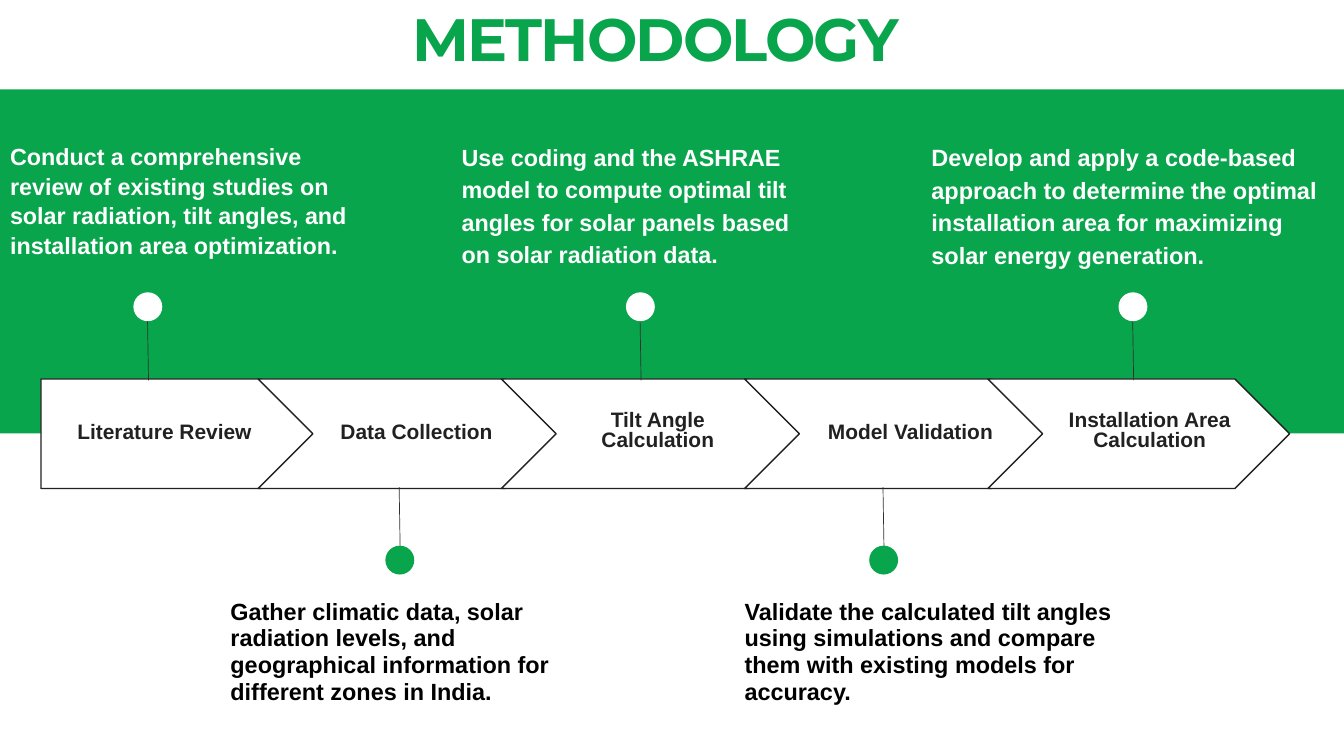
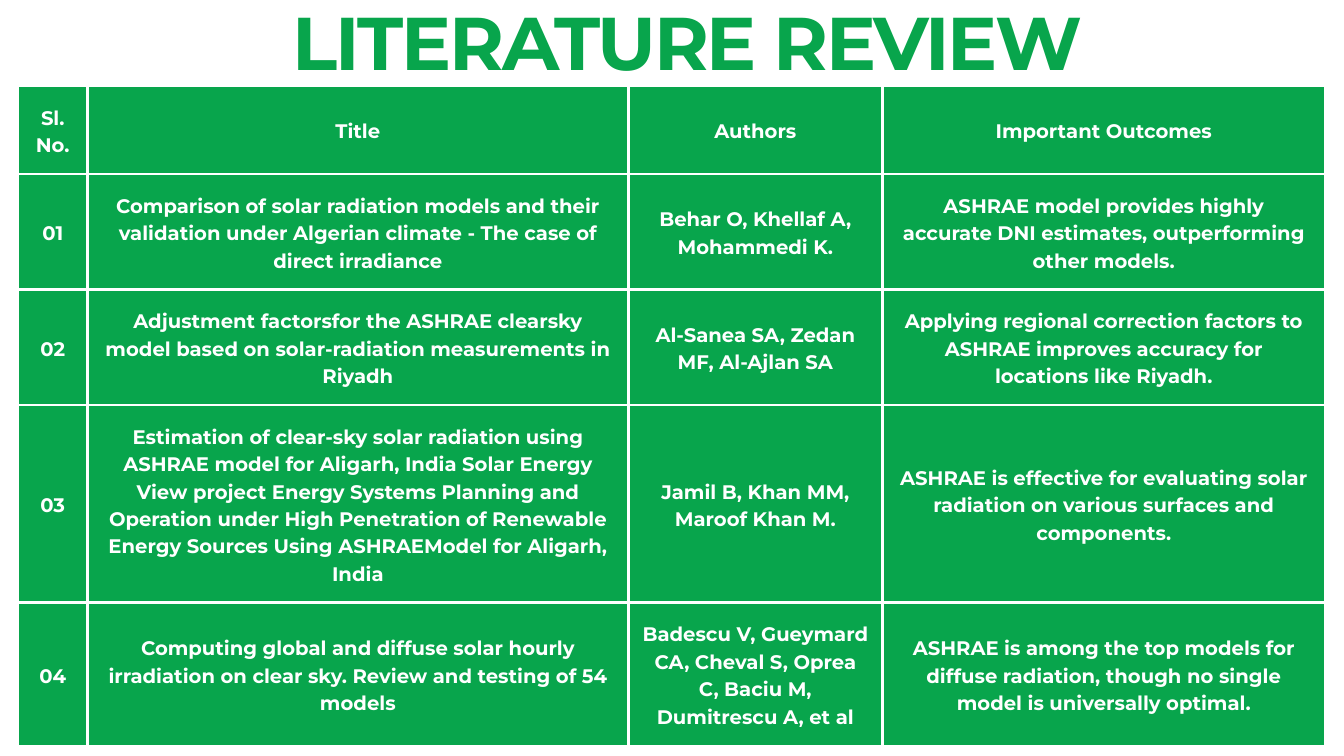
"""Builds the methodology timeline and literature review slides."""
from dataclasses import dataclass

from lxml import etree
from pptx import Presentation
from pptx.dml.color import RGBColor
from pptx.enum.shapes import MSO_CONNECTOR, MSO_SHAPE
from pptx.enum.text import MSO_ANCHOR, MSO_AUTO_SIZE, PP_ALIGN
from pptx.oxml.ns import qn
from pptx.util import Inches, Pt

LEFT, CENTER = PP_ALIGN.LEFT, PP_ALIGN.CENTER
MIDDLE = MSO_ANCHOR.MIDDLE
FIT_SHAPE = MSO_AUTO_SIZE.SHAPE_TO_FIT_TEXT
RECTANGLE, OVAL = MSO_SHAPE.RECTANGLE, MSO_SHAPE.OVAL
PENTAGON, CHEVRON = MSO_SHAPE.PENTAGON, MSO_SHAPE.CHEVRON
STRAIGHT = MSO_CONNECTOR.STRAIGHT

WIDTH, HEIGHT = Inches(20), Inches(11.25)
COLUMNS, ROWS = 20, 11.25
GREEN, WHITE, BLACK, INK, STEM = "08A54C", "FFFFFF", "000000", "212121", "303030"
BODY_FONT, DISPLAY_FONT = "Arial", "Montserrat"

ARROW_LEFT, ARROW_STEP, ARROW_TIP = 0.61, 3.62, 0.82
ARROW_TOP, ARROW_HEIGHT, ARROW_WIDTH = 5.64, 1.63, 4.49
DOT_SIZE, STEM_LENGTH, STEM_LEAN = 0.43, 1.23, 0.02


@dataclass
class Stage:
    """One step of the timeline with its label, dot and note."""
    label: str
    label_left: float
    label_width: float
    label_lines: int
    dot_center: float
    note: str
    note_left: float
    note_top: float
    note_width: float
    note_size: float
    note_spacing: float


STAGES = [
    Stage("Literature Review", 0.96, 2.98, 1, 2.2,
          "Conduct a comprehensive review of existing studies on solar radiation, "
          "tilt angles, and installation area optimization.",
          0.15, 2.1, 5.34, 25, 31.5),
    Stage("Data Collection", 4.86, 2.68, 1, 5.95,
          "Gather climatic data, solar radiation levels, and geographical "
          "information for different zones in India.",
          3.43, 8.9, 5.04, 25.1, 28.6),
    Stage("Tilt Angle Calculation", 8.45, 2.68, 2, 9.53,
          "Use coding and the ASHRAE model to compute optimal tilt angles for "
          "solar panels based on solar radiation data.",
          6.87, 2.07, 5.34, 25, 34.5),
    Stage("Model Validation", 12.21, 2.68, 1, 13.15,
          "Validate the calculated tilt angles using simulations and compare "
          "them with existing models for accuracy.",
          11.08, 8.9, 5.53, 25.1, 28.6),
    Stage("Installation Area Calculation", 15.77, 2.68, 2, 16.86,
          "Develop and apply a code-based approach to determine the optimal "
          "installation area for maximizing solar energy generation.",
          13.86, 2.07, 5.98, 25.2, 34.8),
]

REVIEW_COLUMNS = [1.03, 8.05, 3.78, 6.59]
REVIEW_ROWS = [1.31, 1.72, 1.72, 2.94, 2.13]
REVIEW = [
    ("Sl. No.", "Title", "Authors", "Important Outcomes"),
    ("01",
     "Comparison of solar radiation models and their validation under Algerian "
     "climate - The case of direct irradiance",
     "Behar O, Khellaf A, Mohammedi K.",
     "ASHRAE model provides highly accurate DNI estimates, outperforming other models."),
    ("02",
     "Adjustment factorsfor the ASHRAE clearsky model based on solar-radiation "
     "measurements in Riyadh",
     "Al-Sanea SA, Zedan MF, Al-Ajlan SA",
     "Applying regional correction factors to ASHRAE improves accuracy for "
     "locations like Riyadh."),
    ("03",
     "Estimation of clear-sky solar radiation using ASHRAE model for Aligarh, India "
     "Solar Energy View project Energy Systems Planning and Operation under High "
     "Penetration of Renewable Energy Sources Using ASHRAEModel for Aligarh, India",
     "Jamil B, Khan MM, Maroof Khan M.",
     "ASHRAE is effective for evaluating solar radiation on various surfaces and "
     "components."),
    ("04",
     "Computing global and diffuse solar hourly irradiation on clear sky. Review and "
     "testing of 54 models",
     "Badescu V, Gueymard CA, Cheval S, Oprea C, Baciu M, Dumitrescu A, et al",
     "ASHRAE is among the top models for diffuse radiation, though no single model "
     "is universally optimal."),
]


def color(value):
    """Turn a hex string into a colour."""
    return RGBColor.from_string(value)


def across(columns):
    """Turn grid columns into a length."""
    return round(WIDTH * columns / COLUMNS)


def down(rows):
    """Turn grid rows into a length."""
    return round(HEIGHT * rows / ROWS)


def box(left, top, width, height):
    """Turn a grid box into lengths."""
    return across(left), down(top), across(width), down(height)


class Deck:
    """Holds the presentation, its style and the current slide."""

    def __init__(self):
        """Start an empty presentation."""
        self.presentation = Presentation()
        self.presentation.slide_width = WIDTH
        self.presentation.slide_height = HEIGHT
        self.slide = None

    def new_slide(self):
        """Add a blank white slide and make it current."""
        self.slide = self.presentation.slides.add_slide(self.presentation.slide_layouts[6])
        self.slide.background.fill.solid()
        self.slide.background.fill.fore_color.rgb = color(WHITE)

    def style(self, text_frame, size, spacing, ink, font, align, tracking=0):
        """Format every paragraph and run of a text frame."""
        for paragraph in text_frame.paragraphs:
            paragraph.alignment = align
            paragraph.line_spacing = Pt(spacing)
            for run in paragraph.runs:
                run.font.size = Pt(size)
                run.font.bold = True
                run.font.name = font
                run.font.color.rgb = color(ink)
                if tracking:
                    run._r.get_or_add_rPr().set("spc", str(round(tracking * 100)))

    def text(self, words, place, size, spacing, ink, font=BODY_FONT, align=LEFT, tracking=0):
        """Add a text box without margins."""
        text_frame = self.slide.shapes.add_textbox(*box(*place)).text_frame
        text_frame.margin_left = text_frame.margin_right = 0
        text_frame.margin_top = text_frame.margin_bottom = 0
        text_frame.word_wrap = True
        text_frame.auto_size = FIT_SHAPE
        text_frame.text = words
        self.style(text_frame, size, spacing, ink, font, align, tracking)

    def title(self, words, place, size, spacing):
        """Add a slide title with tight letters."""
        self.text(words, place, size, spacing, GREEN, DISPLAY_FONT, CENTER, -0.03 * size)

    def shape(self, kind, place, fill, outline=None):
        """Add a filled preset shape."""
        shape = self.slide.shapes.add_shape(kind, *box(*place))
        shape.shadow.inherit = False
        shape.fill.solid()
        shape.fill.fore_color.rgb = color(fill)
        if outline:
            shape.line.color.rgb = color(outline)
            shape.line.width = Pt(1.5)
        else:
            shape.line.fill.background()

    def line(self, left, top, right, bottom):
        """Add a thin stem."""
        connector = self.slide.shapes.add_connector(
            STRAIGHT, across(left), down(top), across(right), down(bottom))
        connector.line.color.rgb = color(STEM)
        connector.line.width = Pt(0.75)
        etree.SubElement(connector._element.spPr, qn("a:effectLst"))

    def borders(self, cell):
        """Draw white borders around a table cell."""
        properties = cell._tc.get_or_add_tcPr()
        for side in ("a:lnL", "a:lnR", "a:lnT", "a:lnB"):
            border = etree.SubElement(properties, qn(side), w=str(Pt(3)))
            fill = etree.SubElement(border, qn("a:solidFill"))
            etree.SubElement(fill, qn("a:srgbClr"), val=WHITE)

    def table(self, rows, left, top, widths, heights):
        """Add a green table with white borders."""
        place = box(left, top, sum(widths), sum(heights))
        table = self.slide.shapes.add_table(len(rows), len(widths), *place).table
        for column, width in zip(table.columns, widths):
            column.width = across(width)
        for row, height, entries in zip(table.rows, heights, rows):
            row.height = down(height)
            for cell, words in zip(row.cells, entries):
                self.borders(cell)
                cell.fill.solid()
                cell.fill.fore_color.rgb = color(GREEN)
                cell.margin_left = cell.margin_right = across(0.21)
                cell.margin_top = cell.margin_bottom = down(0.21)
                cell.vertical_anchor = MIDDLE
                cell.text_frame.text = words
                self.style(cell.text_frame, 21, 29.4, WHITE, DISPLAY_FONT, CENTER)

    def stage(self, index, stage):
        """Add one timeline arrow with its label, stem, dot and note."""
        above = index % 2 == 0
        left = ARROW_LEFT + ARROW_STEP * index
        if index == 0:
            self.shape(PENTAGON, (left, ARROW_TOP, ARROW_WIDTH - 0.39, ARROW_HEIGHT), WHITE, INK)
        else:
            self.shape(CHEVRON, (left - 0.39, ARROW_TOP, ARROW_WIDTH, ARROW_HEIGHT), WHITE, INK)
        label_top, label_height, label_spacing = (
            (6.23, 0.41, 26.9) if stage.label_lines == 1 else (6.13, 0.65, 21.5))
        self.text(stage.label, (stage.label_left, label_top, stage.label_width, label_height),
                  22.4, label_spacing, INK, align=CENTER)
        stem_top, dot_top = (4.43, 4.35) if above else (7.25, 8.12)
        center = stage.dot_center
        self.line(center - STEM_LEAN / 2, stem_top, center + STEM_LEAN / 2, stem_top + STEM_LENGTH)
        self.shape(OVAL, (center - DOT_SIZE / 2, dot_top, DOT_SIZE, DOT_SIZE),
                   WHITE if above else GREEN)
        self.text(stage.note, (stage.note_left, stage.note_top, stage.note_width, 1.85),
                  stage.note_size, stage.note_spacing, WHITE if above else BLACK)


def main():
    """Build both slides and save them."""
    deck = Deck()
    deck.new_slide()
    deck.shape(RECTANGLE, (0, 1.33, COLUMNS, 5.12), GREEN)
    for index, stage in enumerate(STAGES):
        deck.stage(index, stage)
    deck.title("METHODOLOGY", (5.49, 0.14, 8.52, 0.98), 64, 68.5)

    deck.new_slide()
    deck.table(REVIEW, 0.27, 1.28, REVIEW_COLUMNS, REVIEW_ROWS)
    deck.title("LITERATURE REVIEW", (4.29, -0.06, 11.88, 1.34), 80, 96)
    deck.presentation.save("out.pptx")


if __name__ == "__main__":
    main()
